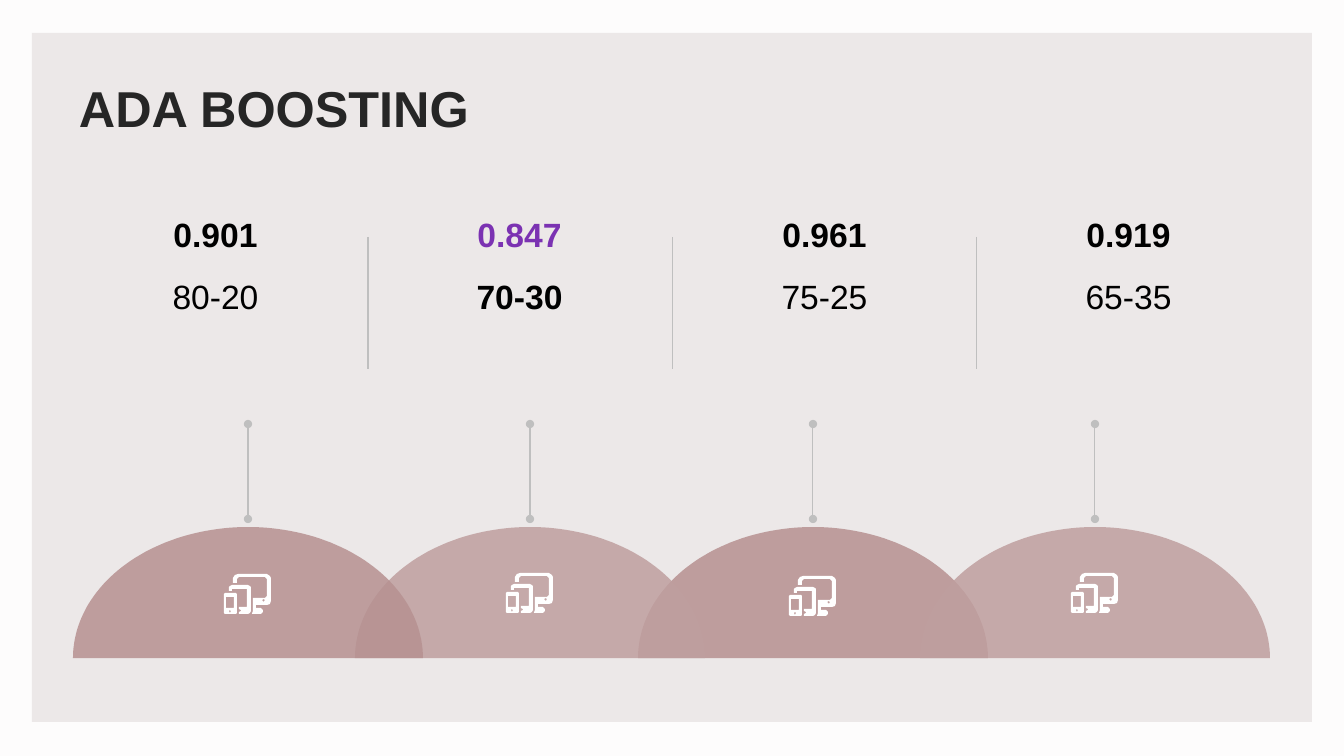
from dataclasses import dataclass
from math import cos, pi, sin

from pptx import Presentation
from pptx.dml.color import RGBColor
from pptx.enum.shapes import MSO_CONNECTOR as Connector, MSO_SHAPE as Preset
from pptx.enum.text import MSO_ANCHOR as Anchor, PP_ALIGN as Align
from pptx.oxml.ns import qn
from pptx.oxml.xmlchemy import OxmlElement
from pptx.slide import Slide
from pptx.util import Emu, Pt

SLIDE_WIDTH, SLIDE_HEIGHT = 1344, 756
EMU_PER_PX = 12192000 / SLIDE_WIDTH
FONT = "Arial"
BLACK, WHITE, GREY, PURPLE = "000000", "FFFFFF", "BFBFBF", "7B32B2"
ROSE, PALE_ROSE = "B69191", "BF9F9F"

LEFT, COLUMN_STEP, COLUMN_WIDTH = 73, 913 / 3, 285
DOME_STEP, DOME_WIDTH, DOME_TOP, DOME_HEIGHT = 847 / 3, 350, 527, 131
DOME_UNITS = 10
DOME_ORDER = (2, 1, 0, 3)

Point = tuple[int, int]
Contour = list[Point]

# Device icon in px: phone, its screen and button, tablet, monitor, its light
ICON: list[Contour] = [
    [(1, 19), (12, 19), (13, 20), (13, 39), (12, 40), (1, 40), (0, 39), (0, 20)],
    [(2, 23), (10, 23), (10, 34), (2, 34)],
    [(6, 36), (7, 37), (6, 39), (5, 37)],
    [(8, 11), (24, 11), (26, 12), (27, 13), (27, 37), (26, 39), (24, 40),
     (15, 40), (15, 38), (17, 37), (17, 36), (15, 35), (15, 33), (23, 33),
     (23, 15), (8, 15), (8, 17), (5, 17), (5, 13), (6, 12)],
    [(14, 0), (43, 0), (46, 2), (47, 4), (47, 27), (46, 30), (43, 31), (32, 31),
     (32, 34), (37, 34), (39, 36), (39, 38), (37, 40), (28, 40), (29, 37),
     (29, 24), (41, 24), (43, 22), (43, 5), (41, 3), (15, 3), (13, 5), (13, 9),
     (9, 9), (9, 4), (11, 1)],
    [(40, 25), (41, 26), (40, 28), (38, 26)],
]


@dataclass(frozen=True)
class Split:
    score: str
    ratio: str
    dome_color: str
    icon_top: int
    score_color: str = BLACK
    ratio_bold: bool = False


SPLITS = [
    Split("0.901", "80-20", ROSE, 574),
    Split("0.847", "70-30", PALE_ROSE, 573, PURPLE, True),
    Split("0.961", "75-25", ROSE, 576),
    Split("0.919", "65-35", PALE_ROSE, 573),
]


def px(value: float) -> Emu:
    return Emu(round(value * EMU_PER_PX))


def rgb(color: str) -> RGBColor:
    return RGBColor.from_string(color)


def add_text(slide: Slide, text: str, box: tuple[int, int, int, int], size: int,
             color: str, bold: bool, anchor: Anchor, align: Align,
             insets: tuple[int, int, int, int] = (10, 5, 10, 5),
             line_spacing: float = 1.0) -> None:
    frame = slide.shapes.add_textbox(*map(px, box)).text_frame
    frame.word_wrap = True
    frame.vertical_anchor = anchor
    (frame.margin_left, frame.margin_top,
     frame.margin_right, frame.margin_bottom) = map(px, insets)
    frame.text = text
    paragraph = frame.paragraphs[0]
    paragraph.alignment = align
    paragraph.line_spacing = line_spacing
    font = paragraph.runs[0].font
    font.name, font.size, font.bold = FONT, Pt(size), bold
    font.color.rgb = rgb(color)


def add_vertical_line(slide: Slide, x: int, start: int, end: int,
                      dotted_ends: bool = False) -> None:
    """Draw a thin grey line, with a round dot at each end if wanted."""
    connector = slide.shapes.add_connector(
        Connector.STRAIGHT, px(x), px(start), px(x), px(end))
    connector.line.color.rgb = rgb(GREY)
    connector.line.width = Pt(0.75)
    properties = connector._element.spPr
    if dotted_ends:
        line = properties.find(qn("a:ln"))
        for tag in ("a:headEnd", "a:tailEnd"):
            line_end = OxmlElement(tag)
            line_end.set("type", "oval")
            line.append(line_end)
    properties.append(OxmlElement("a:effectLst"))


def add_outline(slide: Slide, contours: list[Contour], left: int, top: int,
                color: str, units_per_px: int = 1, opacity: int = 100) -> None:
    """Draw closed contours as one shape; inner contours become holes."""
    builder = slide.shapes.build_freeform(
        *contours[0][0], scale=EMU_PER_PX / units_per_px)
    for index, (start, *others) in enumerate(contours):
        if index:
            builder.move_to(*start)
        builder.add_line_segments(others, close=True)
    shape = builder.convert_to_shape(px(left), px(top))
    shape.shadow.inherit = False
    shape.line.fill.background()
    shape.fill.solid()
    shape.fill.fore_color.rgb = rgb(color)
    if opacity < 100:
        alpha = OxmlElement("a:alpha")
        alpha.set("val", str(opacity * 1000))
        next(shape._element.spPr.iter(qn("a:srgbClr"))).append(alpha)


def dome_contour(steps: int = 90) -> Contour:
    radius = DOME_WIDTH * DOME_UNITS / 2
    height = DOME_HEIGHT * DOME_UNITS
    angles = [pi * step / steps for step in range(steps + 1)]
    return [(round(radius * (1 - cos(angle))), round(height * (1 - sin(angle))))
            for angle in angles]


def add_panel(slide: Slide) -> None:
    panel = slide.shapes.add_shape(
        Preset.RECTANGLE, px(32), px(33), px(1280), px(689))
    panel.shadow.inherit = False
    panel.line.fill.background()
    panel.fill.solid()
    panel.fill.fore_color.rgb = rgb("ECE8E8")


def add_scores(slide: Slide) -> None:
    for index, split in enumerate(SPLITS):
        left = LEFT + round(index * COLUMN_STEP)
        add_text(slide, split.ratio, (left, 259, COLUMN_WIDTH, 130), 24, BLACK,
                 split.ratio_bold, Anchor.TOP, Align.CENTER, line_spacing=1.3)
        add_text(slide, split.score, (left, 201, COLUMN_WIDTH, 58), 24,
                 split.score_color, True, Anchor.BOTTOM, Align.CENTER)
        if index:
            add_vertical_line(slide, left - 9, 237, 369)


def add_domes(slide: Slide) -> None:
    lefts = [LEFT + round(index * DOME_STEP) for index in range(len(SPLITS))]
    for index in DOME_ORDER:
        add_outline(slide, [dome_contour()], lefts[index], DOME_TOP,
                    SPLITS[index].dome_color, DOME_UNITS, opacity=85)
    for left, split in zip(lefts, SPLITS):
        center = left + DOME_WIDTH // 2
        add_vertical_line(slide, center, 519, 424, dotted_ends=True)
        add_outline(slide, ICON, center - 24, split.icon_top, WHITE)


def main() -> None:
    presentation = Presentation()
    presentation.slide_width = px(SLIDE_WIDTH)
    presentation.slide_height = px(SLIDE_HEIGHT)
    slide = presentation.slides.add_slide(presentation.slide_layouts[6])
    slide.background.fill.solid()
    slide.background.fill.fore_color.rgb = rgb("FDFCFC")
    add_panel(slide)
    add_text(slide, "ADA BOOSTING", (68, 68, 1210, 78), 36, "262626", True,
             Anchor.MIDDLE, Align.LEFT, insets=(11, 4, 8, 4))
    add_scores(slide)
    add_domes(slide)
    presentation.save("out.pptx")


if __name__ == "__main__":
    main()
